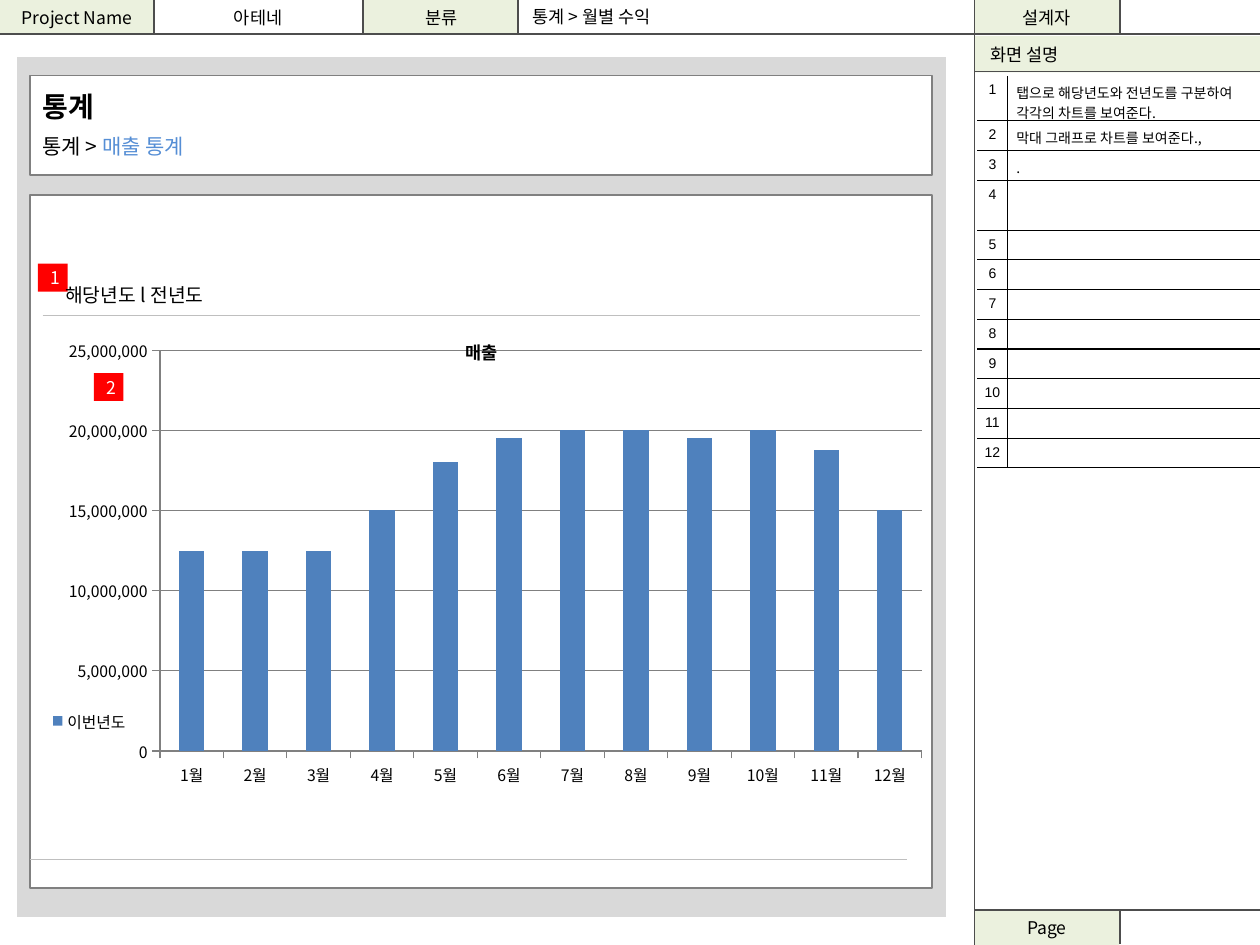
import dataclasses

import lxml.etree
import pptx
import pptx.chart.data
import pptx.dml.color
import pptx.enum.chart
import pptx.enum.shapes
import pptx.enum.text
import pptx.oxml.ns
import pptx.util

Pt = pptx.util.Pt
qn = pptx.oxml.ns.qn
Align = pptx.enum.text.PP_ALIGN
Anchor = pptx.enum.text.MSO_ANCHOR


@dataclasses.dataclass(frozen=True)
class Theme:
    korean: str = "Noto Sans CJK KR"
    latin: str = "Arial"
    ink: str = "000000"
    paper: str = "FFFFFF"
    label: str = "EBF1DE"
    rule: str = "4D4D4D"
    canvas: str = "D9D9D9"
    outline: str = "808080"
    divider: str = "BFBFBF"
    link: str = "558ED5"
    marker: str = "FF0000"
    bar: str = "4F81BD"
    heading: float = 16
    path_text: float = 12
    tabs: float = 11
    body: float = 10
    axis: float = 9
    note: float = 8
    gap: float = 18


THEME = Theme()
MONTHLY_SALES = [12500000, 12500000, 12500000, 15000000, 18000000, 19500000,
                 20000000, 20000000, 19500000, 20000000, 18800000, 15000000]
NOTES = ["탭으로 해당년도와 전년도를 구분하여 각각의 차트를 보여준다.",
         "막대 그래프로 차트를 보여준다.,", "."] + [""] * 9
NOTE_HEIGHTS = [25.7, 17, 17, 28.6] + [17] * 8


def rgb(value):
    return pptx.dml.color.RGBColor.from_string(value)


def style_font(font, size, color=THEME.ink, face=THEME.korean, bold=False):
    font.size, font.bold, font.name = Pt(size), bold, face
    font.color.rgb = rgb(color)


def style_run(run, size, color=THEME.ink, face=THEME.korean, bold=False):
    style_font(run.font, size, color, face, bold)
    east_asian = lxml.etree.SubElement(run._r.get_or_add_rPr(), qn("a:ea"))
    east_asian.set("typeface", face)


def write(frame, text, size, color=THEME.ink, align=Align.LEFT):
    frame.text = text
    paragraph = frame.paragraphs[0]
    paragraph.alignment = align
    style_run(paragraph.runs[0], size, color)


def add_box(slide, left, top, width, height, fill, line=None, weight=1):
    box = slide.shapes.add_shape(pptx.enum.shapes.MSO_SHAPE.RECTANGLE,
                                 Pt(left), Pt(top), Pt(width), Pt(height))
    box.shadow.inherit = False
    box.fill.solid()
    box.fill.fore_color.rgb = rgb(fill)
    if line:
        box.line.color.rgb = rgb(line)
        box.line.width = Pt(weight)
    else:
        box.line.fill.background()
    box.text_frame.vertical_anchor = Anchor.MIDDLE
    return box


def add_label(slide, text, left, top, width, height=19.5, align=Align.CENTER):
    label = add_box(slide, left, top, width, height, THEME.label)
    write(label.text_frame, text, THEME.body, align=align)


def add_marker(slide, number, left, top):
    marker = add_box(slide, left, top, 17, 16, THEME.marker)
    write(marker.text_frame, number, THEME.body, THEME.paper, Align.CENTER)


def add_text(slide, text, left, top, width, height, size, align=Align.LEFT,
             anchor=Anchor.TOP, wrap=True):
    frame = slide.shapes.add_textbox(Pt(left), Pt(top), Pt(width), Pt(height)).text_frame
    frame.word_wrap, frame.vertical_anchor = wrap, anchor
    write(frame, text, size, align=align)


def add_rule(slide, x1, y1, x2, y2, color=THEME.rule):
    rule = slide.shapes.add_connector(pptx.enum.shapes.MSO_CONNECTOR.STRAIGHT,
                                      Pt(x1), Pt(y1), Pt(x2), Pt(y2))
    rule.line.color.rgb = rgb(color)
    rule.line.width = Pt(0.75)
    lxml.etree.SubElement(rule._element.spPr, qn("a:effectLst"))


def add_frame(slide):
    add_label(slide, "Page", 556.7, 520.5, 83)
    add_label(slide, "설계자", 556.7, 0, 83)
    add_label(slide, " 화면 설명", 556.7, 20.7, 163.3, 20.7, Align.LEFT)
    add_label(slide, "분류", 208, 0, 88.5)
    add_text(slide, "아테네", 88, 0.7, 119, 18, THEME.body, Align.CENTER, Anchor.MIDDLE)
    add_label(slide, "Project Name", 0, 0, 88)
    for x in (88, 207.4, 296, 640):
        add_rule(slide, x, 0, x, 19.5)
    for left, y in ((0, 19.5), (556.7, 41), (556.7, 520)):
        add_rule(slide, left, y, 720, y)
    add_rule(slide, 640, 520, 640, 539.5)
    add_rule(slide, 556.7, 0, 556.7, 540)


def add_title_panel(slide):
    panel = add_box(slide, 17.2, 43.2, 515.6, 56.9, THEME.paper, THEME.outline)
    write(panel.text_frame, "통계", THEME.heading)
    panel.text_frame.paragraphs[0].runs[0].font.bold = True
    breadcrumb = panel.text_frame.add_paragraph()
    breadcrumb.alignment = Align.LEFT
    for text, size, color in (("통계 > ", THEME.path_text, THEME.ink),
                              ("매출 통계", THEME.path_text, THEME.link),
                              (" ", THEME.gap, THEME.link)):
        run = breadcrumb.add_run()
        run.text = text
        style_run(run, size, color)


def place(part, index, **position):
    for layout in part.findall(qn("c:layout")):
        part.remove(layout)
    layout = lxml.etree.Element(qn("c:layout"))
    manual = lxml.etree.SubElement(layout, qn("c:manualLayout"))
    for key, value in position.items():
        lxml.etree.SubElement(manual, qn("c:" + key)).set("val", str(value))
    part.insert(index, layout)


def add_sales_chart(slide):
    sales = pptx.chart.data.CategoryChartData(number_format="#,##0")
    sales.categories = [f"{month}월" for month in range(1, 13)]
    sales.add_series("이번년도", MONTHLY_SALES)
    chart = slide.shapes.add_chart(pptx.enum.chart.XL_CHART_TYPE.COLUMN_CLUSTERED,
                                   Pt(22.3), Pt(179.3), Pt(504.7), Pt(290.2), sales).chart
    style_font(chart.font, THEME.axis)
    write(chart.chart_title.text_frame, "매출", THEME.body, align=Align.CENTER)
    chart.chart_title.text_frame.paragraphs[0].runs[0].font.bold = True
    title = chart.chart_title._element
    title.find(qn("c:overlay")).set("val", "1")
    place(title, 1, xMode="edge", yMode="edge", x=0.48, y=0.04)

    chart.has_legend = True
    chart.legend.position = pptx.enum.chart.XL_LEGEND_POSITION.RIGHT
    chart.legend.include_in_layout = False
    place(chart.legend._element, 1, xMode="edge", yMode="edge", x=0.01, y=0.77)
    place(chart._chartSpace.chart.plotArea, 0, layoutTarget="inner", xMode="edge",
          yMode="edge", x=0.137, y=0.072, w=0.863, h=0.789)

    plot = chart.plots[0]
    plot.gap_width, plot.vary_by_categories = 150, False
    bars = plot.series[0].format.fill
    bars.solid()
    bars.fore_color.rgb = rgb(THEME.bar)
    amounts = chart.value_axis
    amounts.minimum_scale, amounts.maximum_scale, amounts.major_unit = 0, 25000000, 5000000
    amounts.has_major_gridlines = True
    amounts.tick_labels.number_format = "#,##0"
    amounts.tick_labels.number_format_is_linked = False
    for part in (amounts, chart.category_axis, amounts.major_gridlines):
        part.format.line.color.rgb = rgb(THEME.outline)
        part.format.line.width = Pt(0.75)
    for axis in (amounts, chart.category_axis):
        axis.major_tick_mark = pptx.enum.chart.XL_TICK_MARK.OUTSIDE


def set_borders(cell, visible):
    properties = cell._tc.get_or_add_tcPr()
    for index, side in enumerate(("lnL", "lnR", "lnT", "lnB")):
        border = lxml.etree.Element(qn("a:" + side), w=str(Pt(0.75)))
        if side in visible:
            fill = lxml.etree.SubElement(border, qn("a:solidFill"))
            lxml.etree.SubElement(fill, qn("a:srgbClr"), val=THEME.ink)
        else:
            lxml.etree.SubElement(border, qn("a:noFill"))
        properties.insert(index, border)


def fill_note_cell(cell, text, face, align, side_inset, bottom_inset, borders):
    cell.fill.background()
    cell.margin_left = cell.margin_right = Pt(side_inset)
    cell.margin_top, cell.margin_bottom = Pt(3.6), Pt(bottom_inset)
    paragraph = cell.text_frame.paragraphs[0]
    paragraph.alignment = align
    if text:
        paragraph.text = text
        style_run(paragraph.runs[0], THEME.note, face=face)
    else:
        end = lxml.etree.SubElement(paragraph._p, qn("a:endParaRPr"))
        end.set("sz", str(int(THEME.note * 100)))
    set_borders(cell, borders)


def add_notes(slide):
    notes = slide.shapes.add_table(len(NOTES), 2, Pt(558.4), Pt(43.3),
                                   Pt(161.6), Pt(sum(NOTE_HEIGHTS))).table
    notes.first_row = notes.horz_banding = False
    notes.columns[0].width, notes.columns[1].width = Pt(17.4), Pt(144.2)
    for index, (note, height) in enumerate(zip(NOTES, NOTE_HEIGHTS)):
        notes.rows[index].height = Pt(height)
        top = ("lnT",) if index else ()
        fill_note_cell(notes.cell(index, 0), str(index + 1), THEME.latin,
                       Align.CENTER, 2.9, 3.6, ("lnR", "lnB") + top)
        fill_note_cell(notes.cell(index, 1), note, THEME.korean,
                       Align.LEFT, 5, 0, ("lnL", "lnB") + top)


def main():
    deck = pptx.Presentation()
    deck.slide_width, deck.slide_height = Pt(720), Pt(540)
    slide = deck.slides.add_slide(deck.slide_layouts[6])
    add_frame(slide)
    add_box(slide, 8.6, 31.7, 532.8, 493.2, THEME.canvas, THEME.paper, 2)
    add_title_panel(slide)
    add_box(slide, 17.2, 111.6, 515.6, 396, THEME.paper, THEME.outline)
    add_rule(slide, 24.3, 180.2, 525.6, 180.2, THEME.divider)
    add_rule(slide, 17.2, 491, 518.5, 491, THEME.divider)
    add_text(slide, "통계 > 월별 수익", 297.4, 0, 215.3, 19.5, THEME.body)
    add_sales_chart(slide)
    add_marker(slide, "1", 21.7, 150.7)
    add_notes(slide)
    add_text(slide, "해당년도 l 전년도", 30.2, 158.4, 103, 20.9, THEME.tabs, wrap=False)
    add_marker(slide, "2", 53.6, 213.2)
    deck.save("out.pptx")


if __name__ == "__main__":
    main()
